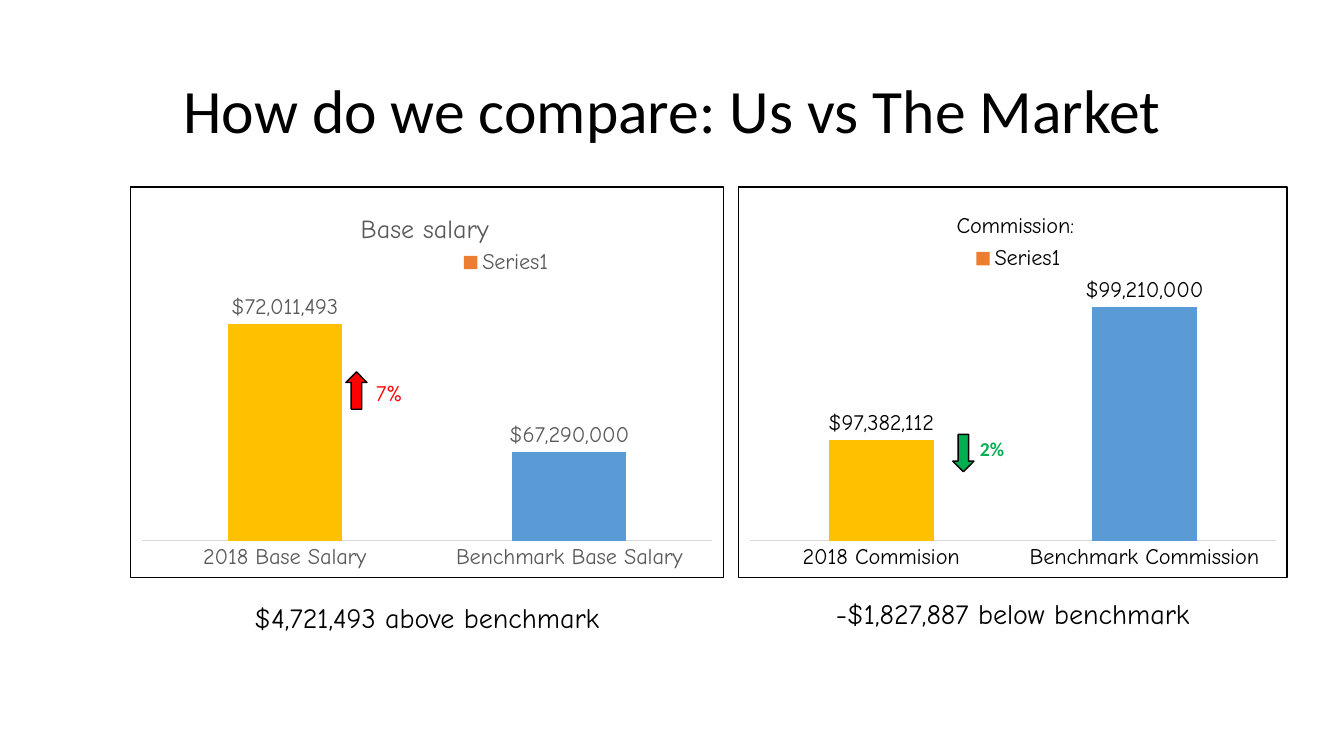
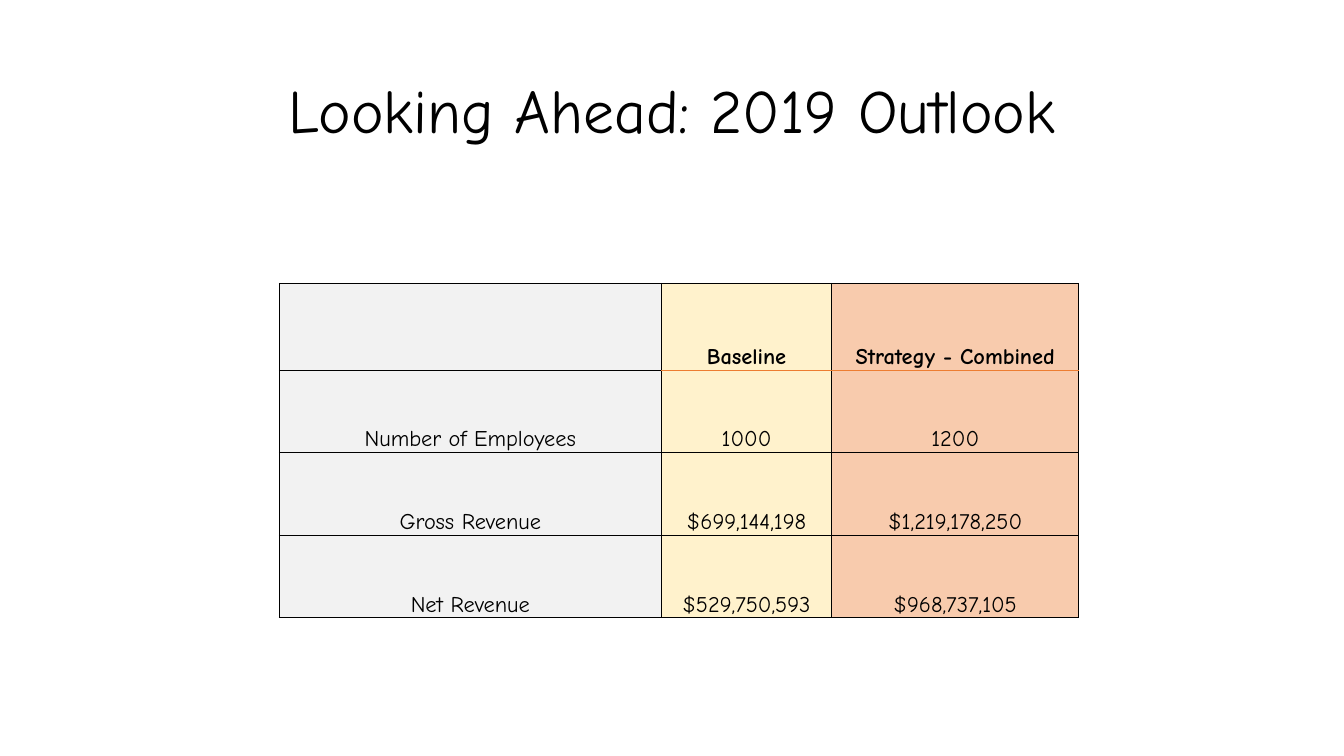
"""Build two slides: pay against the market, and the 2019 outlook."""
from pptx import Presentation
from pptx.chart.data import CategoryChartData
from pptx.dml.color import RGBColor
from pptx.enum import chart as charts, shapes, text
from pptx.oxml import parse_xml
from pptx.oxml.ns import nsdecls, qn
from pptx.util import Inches, Pt

BLACK = RGBColor(0x00, 0x00, 0x00)
GREY = RGBColor(0x59, 0x59, 0x59)
AXIS_GREY = RGBColor(0xD9, 0xD9, 0xD9)
ORANGE = RGBColor(0xED, 0x7D, 0x31)
GOLD = RGBColor(0xFF, 0xC0, 0x00)
BLUE = RGBColor(0x5B, 0x9B, 0xD5)
RED = RGBColor(0xFF, 0x00, 0x00)
GREEN = RGBColor(0x00, 0xB0, 0x50)
COLUMN_FILLS = (
    RGBColor(0xF2, 0xF2, 0xF2),
    RGBColor(0xFF, 0xF2, 0xCC),
    RGBColor(0xF8, 0xCB, 0xAD),
)
SANS = "Calibri"
COMIC = "Comic Neue"
DOLLARS = '"$"#,##0'


def style_font(font, size, color=BLACK, name=COMIC, bold=False):
    """Set the face, size, colour and weight of a font."""
    font.name = name
    font.size = Pt(size)
    font.bold = bold
    font.color.rgb = color


def add_span(para, words, *style, **options):
    """Add one styled run to a paragraph."""
    span = para.add_run()
    span.text = words
    style_font(span.font, *style, **options)


def add_text(page, area, words, size, centred=True, **options):
    """Add a one-line text box and return it."""
    box = page.shapes.add_textbox(*map(Inches, area))
    box.text_frame.word_wrap = True
    para = box.text_frame.paragraphs[0]
    if centred:
        para.alignment = text.PP_ALIGN.CENTER
        para.line_spacing = 0.9
    add_span(para, words, size, **options)
    return box


def add_title(page, words, name):
    """Add the slide title."""
    box = add_text(page, (0.92, 0.4, 11.5, 1.45), words, 44, name=name)
    box.text_frame.vertical_anchor = text.MSO_ANCHOR.MIDDLE


def add_arrow(page, left, top, color, rotation=0):
    """Add a small outlined block arrow."""
    arrow = page.shapes.add_shape(
        shapes.MSO_SHAPE.DOWN_ARROW, *map(Inches, (left, top, 0.21, 0.37)))
    arrow.rotation = rotation
    arrow.shadow.inherit = False
    arrow.fill.solid()
    arrow.fill.fore_color.rgb = color
    arrow.line.color.rgb = BLACK
    arrow.line.width = Pt(1)


def place(chart, tag, after, **fractions):
    """Give a chart part a manual layout in fractions of the chart."""
    part = chart.element.find(".//" + qn(tag))
    for old in part.findall(qn("c:layout")):
        part.remove(old)
    target = '<c:layoutTarget val="inner"/>' if "w" in fractions else ""
    modes = "".join(f'<c:{axis}Mode val="edge"/>' for axis in "xy")
    sizes = "".join(f'<c:{key} val="{value}"/>' for key, value in fractions.items())
    layout = parse_xml(
        f'<c:layout {nsdecls("c")}><c:manualLayout>{target}{modes}{sizes}'
        "</c:manualLayout></c:layout>")
    if after:
        part.find(qn(after)).addnext(layout)
    else:
        part.insert(0, layout)


def add_frame(chart):
    """Put a white fill and a thin black border around a chart."""
    chart.element.find(qn("c:chart")).addnext(parse_xml(
        f'<c:spPr {nsdecls("c", "a")}>'
        '<a:solidFill><a:srgbClr val="FFFFFF"/></a:solidFill>'
        f'<a:ln w="{Pt(0.75)}"><a:solidFill><a:srgbClr val="{BLACK}"/></a:solidFill></a:ln>'
        "</c:spPr>"))


def add_pay_chart(page, left, width, title, title_size, bars, scale, color,
                  title_x, legend_at, plot_top):
    """Add a framed two-column chart of our pay and the benchmark."""
    data = CategoryChartData(number_format=DOLLARS)
    data.categories = list(bars)
    data.add_series("Series1", bars.values())
    chart = page.shapes.add_chart(
        charts.XL_CHART_TYPE.COLUMN_CLUSTERED,
        *map(Inches, (left, 1.85, width, 3.88)), data).chart
    add_frame(chart)
    style_font(chart.font, 16, color)

    chart.has_title = True
    add_span(chart.chart_title.text_frame.paragraphs[0], title, title_size, color)
    place(chart, "c:title", "c:tx", x=title_x, y=0.05)

    chart.has_legend = True
    chart.legend.position = charts.XL_LEGEND_POSITION.TOP
    chart.legend.include_in_layout = False
    style_font(chart.legend.font, 16, color)
    place(chart, "c:legend", "c:legendPos", x=legend_at[0], y=legend_at[1])
    place(chart, "c:plotArea", None, x=0.02, y=plot_top, w=0.96,
          h=round(0.907 - plot_top, 3))

    names = chart.category_axis
    names.major_tick_mark = charts.XL_TICK_MARK.NONE
    names.format.line.color.rgb = AXIS_GREY
    names.format.line.width = Pt(0.75)
    style_font(names.tick_labels.font, 16, color)
    amounts = chart.value_axis
    amounts.minimum_scale, amounts.maximum_scale = scale
    amounts.has_major_gridlines = False
    amounts.visible = False

    plot = chart.plots[0]
    plot.vary_by_categories = False
    plot.gap_width = 150
    plot.overlap = -25
    plot.has_data_labels = True
    labels = plot.data_labels
    labels.show_value = True
    labels.number_format = DOLLARS
    labels.number_format_is_linked = False
    labels.position = charts.XL_LABEL_POSITION.OUTSIDE_END
    style_font(labels.font, 16, color)
    series = plot.series[0]
    series.format.fill.solid()
    series.format.fill.fore_color.rgb = ORANGE
    for index, fill in enumerate((GOLD, BLUE)):
        point = series.points[index].format.fill
        point.solid()
        point.fore_color.rgb = fill


def set_borders(cell, top, bottom):
    """Draw thin lines on the four sides of a table cell."""
    sides = {"lnL": BLACK, "lnR": BLACK, "lnT": top, "lnB": bottom}
    properties = cell._tc.get_or_add_tcPr()
    for index, (side, color) in enumerate(sides.items()):
        properties.insert(index, parse_xml(
            f'<a:{side} {nsdecls("a")} w="{Pt(0.5)}"><a:solidFill>'
            f'<a:srgbClr val="{color}"/></a:solidFill></a:{side}>'))


def add_outlook_table(page, rows, widths, heights):
    """Add the outlook table with one fill per column."""
    area = (2.77, 2.81, sum(widths), sum(heights))
    table = page.shapes.add_table(
        len(rows), len(widths), *map(Inches, area)).table
    table.first_row = table.horz_banding = False
    for column, width in zip(table.columns, widths):
        column.width = Inches(width)
    for r, (row, height) in enumerate(zip(rows, heights)):
        table.rows[r].height = Inches(height)
        for c, words in enumerate(row):
            cell = table.cell(r, c)
            cell.margin_left = cell.margin_right = 0
            cell.margin_top = cell.margin_bottom = 0
            cell.vertical_anchor = text.MSO_ANCHOR.BOTTOM
            cell.fill.solid()
            cell.fill.fore_color.rgb = COLUMN_FILLS[c]
            accent = ORANGE if c else BLACK
            set_borders(cell, accent if r == 1 else BLACK,
                        accent if r == 0 else BLACK)
            if words:
                para = cell.text_frame.paragraphs[0]
                para.alignment = text.PP_ALIGN.CENTER
                add_span(para, words, 16, bold=r == 0)


def build_comparison(page):
    """Fill the slide that compares pay with the market."""
    add_pay_chart(
        page, 1.29, 5.89, "Base salary", 18.6,
        {"2018 Base Salary": 72011493, "Benchmark Base Salary": 67290000},
        (64000000, 74000000), GREY, 0.38, (0.55, 0.15), 0.214)
    add_text(page, (2.36, 5.95, 3.75, 0.65), "$4,721,493 above benchmark", 20)
    add_pay_chart(
        page, 7.32, 5.45, "Commission:", 16,
        {"2018 Commision": 97382112, "Benchmark Commission": 99210000},
        (96000000, 99500000), BLACK, 0.39, (0.42, 0.14), 0.254)
    add_text(page, (7.93, 5.91, 4.23, 0.65), "-$1,827,887 below benchmark", 20)
    add_title(page, "How do we compare: Us vs The Market", SANS)
    add_arrow(page, 3.43, 3.69, RED, rotation=180)
    add_text(page, (3.63, 3.71, 0.6, 0.37), "7%", 16, centred=False, color=RED)
    add_arrow(page, 9.45, 4.31, GREEN)
    add_text(page, (9.62, 4.29, 0.6, 0.34), "2%", 14, centred=False,
             color=GREEN, name=SANS, bold=True)


def build_outlook(page):
    """Fill the slide with the 2019 outlook."""
    add_title(page, "Looking Ahead: 2019 Outlook", COMIC)
    add_outlook_table(page, (
        ("", "Baseline", "Strategy - Combined"),
        ("Number of Employees", "1000", "1200"),
        ("Gross Revenue", "$699,144,198", "$1,219,178,250"),
        ("Net Revenue", "$529,750,593", "$968,737,105"),
    ), (3.79, 1.69, 2.45), (0.86, 0.82, 0.82, 0.82))


def main():
    """Build and save the deck."""
    deck = Presentation()
    deck.slide_width, deck.slide_height = Inches(13.33), Inches(7.5)
    for build in (build_comparison, build_outlook):
        build(deck.slides.add_slide(deck.slide_layouts[6]))
    deck.save("out.pptx")


main()
